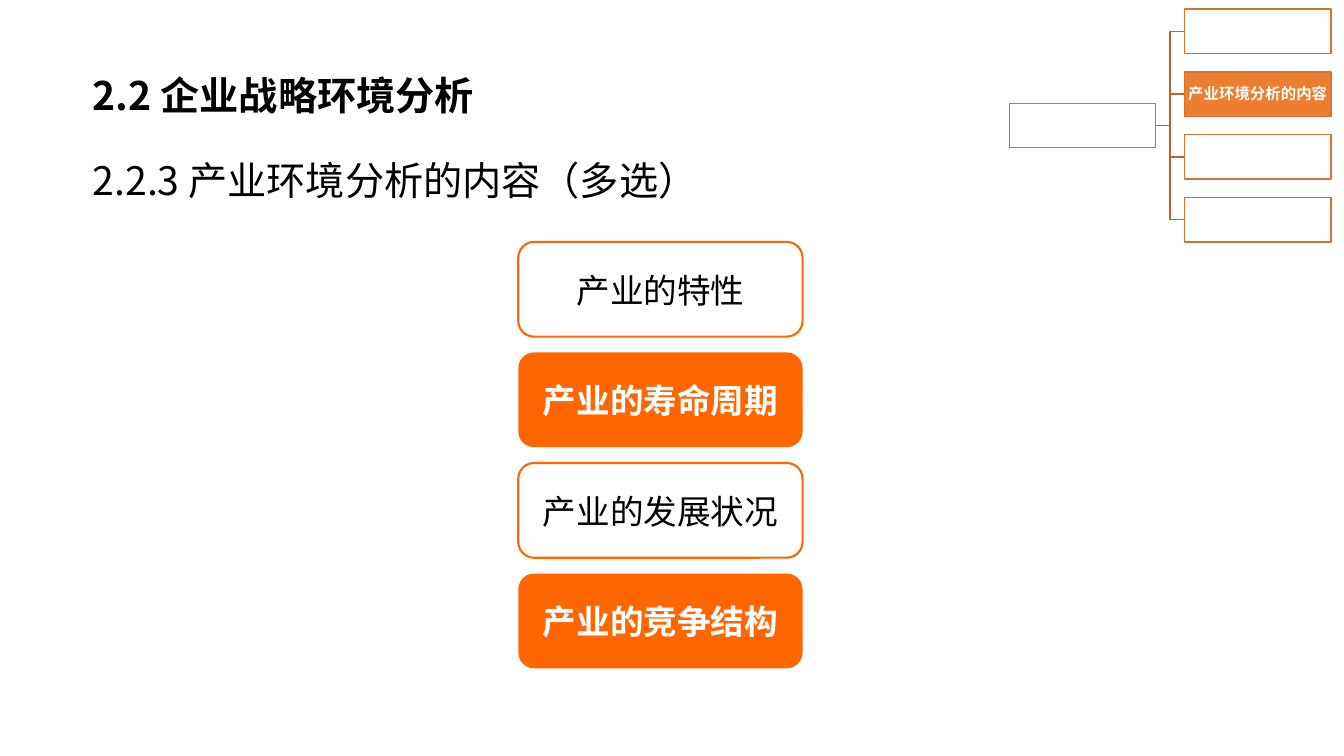
from lxml import etree
from pptx import Presentation, util as u
from pptx.dml.color import RGBColor
from pptx.enum import shapes, text
from pptx.oxml import ns

FONT = "Noto Sans CJK SC"
ORANGE = "FF6600"


def color(value):
    return RGBColor.from_string(value)


def paint(shape, fill=None, line=None, width=1):
    shape.shadow.inherit = False
    if fill:
        shape.fill.solid()
        shape.fill.fore_color.rgb = color(fill)
    else:
        shape.fill.background()
    if line:
        shape.line.color.rgb = color(line)
        shape.line.width = u.Pt(width)
    else:
        shape.line.fill.background()


def write(shape, wording, size, ink="000000", bold=False, spacing=None,
          align=text.PP_ALIGN.LEFT, anchor=text.MSO_ANCHOR.MIDDLE,
          inset=(0.1, 0.05)):
    frame = shape.text_frame
    across, down = (u.Inches(length) for length in inset)
    frame_format = {"word_wrap": True, "vertical_anchor": anchor,
                    "margin_left": across, "margin_right": across,
                    "margin_top": down, "margin_bottom": down}
    for name, value in frame_format.items():
        setattr(frame, name, value)
    para = frame.paragraphs[0]
    para.alignment = align
    para.line_spacing = spacing
    span = para.add_run()
    span.text = wording
    for name, value in {"size": u.Pt(size), "bold": bold, "name": FONT}.items():
        setattr(span.font, name, value)
    span.font.color.rgb = color(ink)
    east_asian = etree.SubElement(span._r.get_or_add_rPr(), ns.qn("a:ea"))
    east_asian.set("typeface", FONT)


def add_box(page, kind, left, top, width, height):
    return page.shapes.add_shape(kind, *map(u.Inches, (left, top, width, height)))


def add_headings(page, left, top):
    section = page.shapes.add_textbox(
        *map(u.Inches, (left, top, 11.45, 0.59)))
    write(section, "2.2 企业战略环境分析", 28, bold=True,
          anchor=text.MSO_ANCHOR.TOP, inset=(0.12, 0.06))
    topic = page.shapes.add_textbox(
        *map(u.Inches, (left, top + 0.5, 12.16, 1.04)))
    write(topic, "2.2.3 产业环境分析的内容（多选）", 28, spacing=1.5,
          inset=(0.12, 0.06))


def add_navigator(page, left, top, width, height):
    box_width, box_height = 1.45, 0.44
    labels = ["", "产业环境分析的内容", "", ""]
    step = (height - box_height) / (len(labels) - 1)
    branch_left = left + width - box_width
    root_right = left + box_width
    trunk = (root_right + branch_left) / 2
    middle = top + height / 2
    branch_tops = [top + index * step for index in range(len(labels))]

    for branch_top in branch_tops:
        end = branch_top + box_height / 2
        builder = page.shapes.build_freeform(
            u.Inches(root_right), u.Inches(middle))
        corners = [(trunk, middle), (trunk, end), (branch_left, end)]
        builder.add_line_segments(
            [(u.Inches(x), u.Inches(y)) for x, y in corners], close=False)
        paint(builder.convert_to_shape(), line="BE6427")

    rect = shapes.MSO_SHAPE.RECTANGLE
    root = add_box(page, rect, left, middle - box_height / 2,
                   box_width, box_height)
    paint(root, "FFFFFF", "D7712C")
    for label, branch_top in zip(labels, branch_tops):
        branch = add_box(page, rect, branch_left, branch_top,
                         box_width, box_height)
        paint(branch, "ED7D31" if label else "FFFFFF", "D7712C")
        if label:
            write(branch, label, 11, "FFFFFF", True, 0.9,
                  text.PP_ALIGN.CENTER, inset=(0.01, 0.01))


def add_topics(page, left, top, width, height):
    topics = ["产业的特性", "产业的寿命周期", "产业的发展状况", "产业的竞争结构"]
    card_height = 0.94
    step = (height - card_height) / (len(topics) - 1)
    for index, topic in enumerate(topics):
        card = add_box(page, shapes.MSO_SHAPE.ROUNDED_RECTANGLE,
                       left, top + index * step, width, card_height)
        if index % 2:
            paint(card, fill=ORANGE)
            write(card, topic, 24, "FFFFFF", True,
                  align=text.PP_ALIGN.CENTER)
        else:
            paint(card, line=ORANGE, width=1.5)
            write(card, topic, 24, spacing=u.Pt(30),
                  align=text.PP_ALIGN.CENTER)


def main():
    deck = Presentation()
    deck.slide_width = u.Inches(13.33)
    deck.slide_height = u.Inches(7.5)
    page = deck.slides.add_slide(deck.slide_layouts[6])
    add_headings(page, 0.8, 0.65)
    add_navigator(page, 10.01, 0.09, 3.19, 2.31)
    add_topics(page, 5.14, 2.4, 2.82, 4.23)
    deck.save("out.pptx")


if __name__ == "__main__":
    main()
